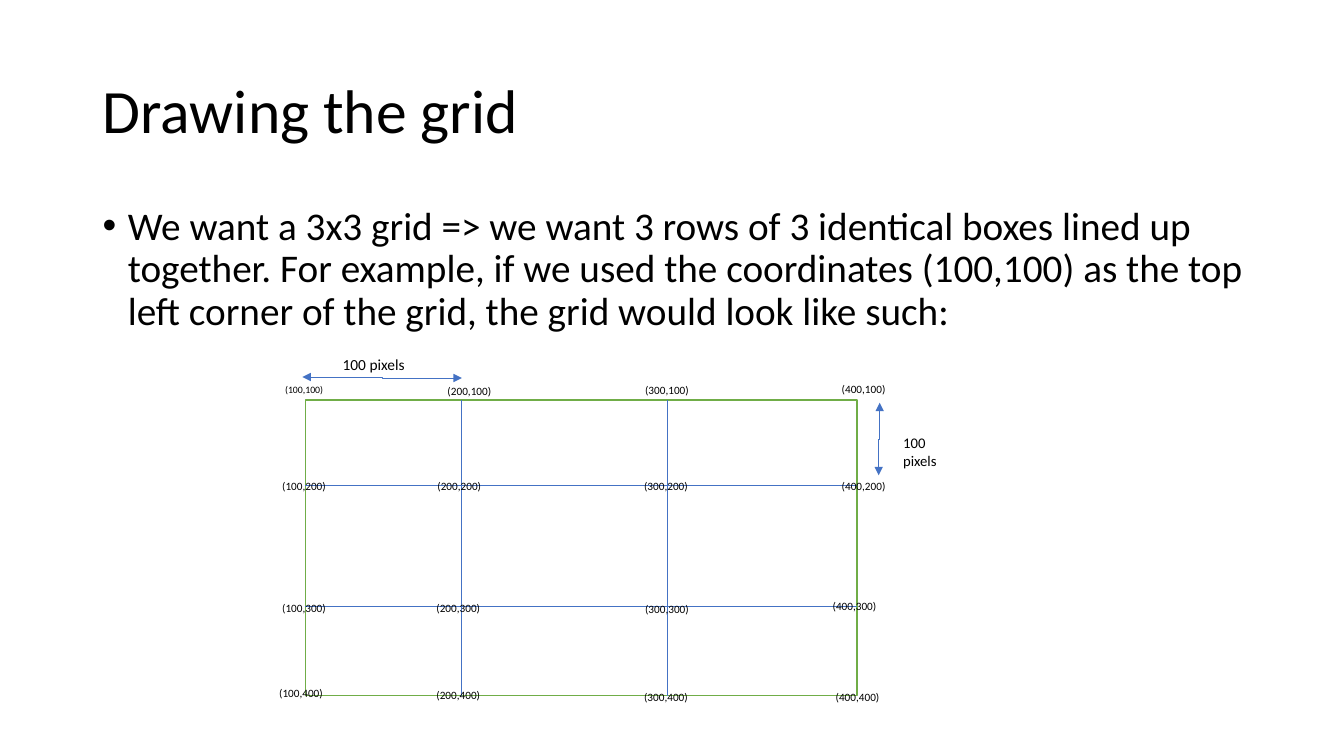
import pptx
import pptx.dml.color
import pptx.enum.dml
import pptx.enum.shapes
import pptx.enum.text
import pptx.oxml
import pptx.oxml.ns
import pptx.util

Inches = pptx.util.Inches
Pt = pptx.util.Pt
qn = pptx.oxml.ns.qn
SubElement = pptx.oxml.xmlchemy.OxmlElement

COLORS = {"text": "000000", "paper": "FFFFFF", "frame": "70AD47", "line": "4472C4"}
FONT = "Calibri"

COLUMN_LINES = [1.55, 3.59]
ROW_LINES = [0.85, 2.05]
LABEL_LEFTS = [
    [-0.3, 1.31, 3.27, 5.22],
    [-0.33, 1.21, 3.26, 5.22],
    [-0.33, 1.2, 3.27, 5.13],
    [-0.36, 1.2, 3.26, 5.16],
]
LABEL_TOPS = [
    [-0.21, -0.21, -0.22, -0.23],
    [0.74, 0.74, 0.74, 0.74],
    [1.95, 1.95, 1.96, 1.93],
    [2.79, 2.81, 2.83, 2.83],
]


def color(name):
    return pptx.dml.color.RGBColor.from_string(COLORS[name])


def add_text(slide, left, top, width, height, text, size, grow=True):
    shape = slide.shapes.add_textbox(Inches(left), Inches(top), Inches(width), Inches(height))
    frame = shape.text_frame
    frame.word_wrap = True
    if grow:
        frame.auto_size = pptx.enum.text.MSO_AUTO_SIZE.SHAPE_TO_FIT_TEXT
    paragraph = frame.paragraphs[0]
    run = paragraph.add_run()
    run.text = text
    run.font.size = Pt(size)
    run.font.name = FONT
    run.font.color.rgb = color("text")
    return frame, paragraph


def add_line(shapes, kind, left, top, right, bottom):
    connector = shapes.add_connector(
        kind, Inches(left), Inches(top), Inches(right), Inches(bottom)
    )
    connector.line.color.rgb = color("line")
    connector.line.width = Pt(0.5)
    connector._element.spPr.append(SubElement("a:effectLst"))
    return connector


def add_title(slide, left, top, width, height):
    frame, paragraph = add_text(
        slide, left, top, width, height, "Drawing the grid", 44, grow=False
    )
    frame.vertical_anchor = pptx.enum.text.MSO_ANCHOR.MIDDLE
    paragraph.line_spacing = 0.9


def add_body(slide, left, top, width, height):
    text = (
        "We want a 3x3 grid => we want 3 rows of 3 identical boxes lined up together. "
        "For example, if we used the coordinates (100,100) as the top left corner of "
        "the grid, the grid would look like such:"
    )
    frame, paragraph = add_text(slide, left, top, width, height, text, 28, grow=False)
    paragraph.line_spacing = 0.9
    paragraph.space_before = Pt(10)
    properties = paragraph._p.get_or_add_pPr()
    properties.set("marL", str(Inches(0.25)))
    properties.set("indent", str(-Inches(0.25)))
    bullet_font = SubElement("a:buFont")
    bullet_font.set("typeface", "Arial")
    properties.append(bullet_font)
    bullet = SubElement("a:buChar")
    bullet.set("char", "•")
    properties.append(bullet)


def add_grid(slide, left, top, width, height):
    group = slide.shapes.add_group_shape()
    frame = group.shapes.add_shape(
        pptx.enum.shapes.MSO_SHAPE.RECTANGLE,
        Inches(left), Inches(top), Inches(width), Inches(height),
    )
    frame.shadow.inherit = False
    frame.fill.solid()
    frame.fill.fore_color.rgb = color("paper")
    frame.line.color.rgb = color("frame")
    frame.line.width = Pt(1)
    straight = pptx.enum.shapes.MSO_CONNECTOR.STRAIGHT
    for offset in COLUMN_LINES:
        add_line(group.shapes, straight, left + offset, top, left + offset, top + height)
    for offset in ROW_LINES:
        add_line(group.shapes, straight, left, top + offset, left + width, top + offset)


def add_labels(slide, left, top):
    for row, (lefts, tops) in enumerate(zip(LABEL_LEFTS, LABEL_TOPS), 1):
        for column, (x, y) in enumerate(zip(lefts, tops), 1):
            first = row == column == 1
            label_width, label_height, size = (0.6, 0.22, 7) if first else (0.66, 0.24, 8)
            add_text(
                slide, left + x, top + y, label_width, label_height,
                f"({column}00,{row}00)", size,
            )


def add_measure_arrow(slide, left, top, length, rotation=0):
    elbow = pptx.enum.shapes.MSO_CONNECTOR.ELBOW
    connector = add_line(slide.shapes, elbow, left, top, left + length, top + 0.01)
    properties = connector._element.spPr
    properties.find(qn("a:xfrm")).set("rot", str(rotation * 60000))
    line = properties.find(qn("a:ln"))
    for end in ("a:headEnd", "a:tailEnd"):
        arrowhead = SubElement(end)
        arrowhead.set("type", "triangle")
        line.append(arrowhead)


def add_measures(slide, left, top):
    add_measure_arrow(slide, left - 0.03, top - 0.23, 1.58)
    add_text(slide, left + 0.27, top - 0.5, 0.94, 0.29, "100 pixels", 11)
    add_measure_arrow(slide, left + 5.33, top + 0.38, 0.72, rotation=90)
    add_text(slide, left + 5.83, top + 0.29, 0.65, 0.47, "100 pixels", 10.5)


def main():
    presentation = pptx.Presentation()
    presentation.slide_width = Inches(13.33)
    presentation.slide_height = Inches(7.5)
    slide = presentation.slides.add_slide(presentation.slide_layouts[6])
    add_title(slide, 0.92, 0.4, 11.5, 1.45)
    add_body(slide, 0.92, 2, 11.5, 4.76)
    grid_left, grid_top = 3.03, 3.97
    add_grid(slide, grid_left, grid_top, 5.47, 2.93)
    add_labels(slide, grid_left, grid_top)
    add_measures(slide, grid_left, grid_top)
    presentation.save("out.pptx")


if __name__ == "__main__":
    main()
